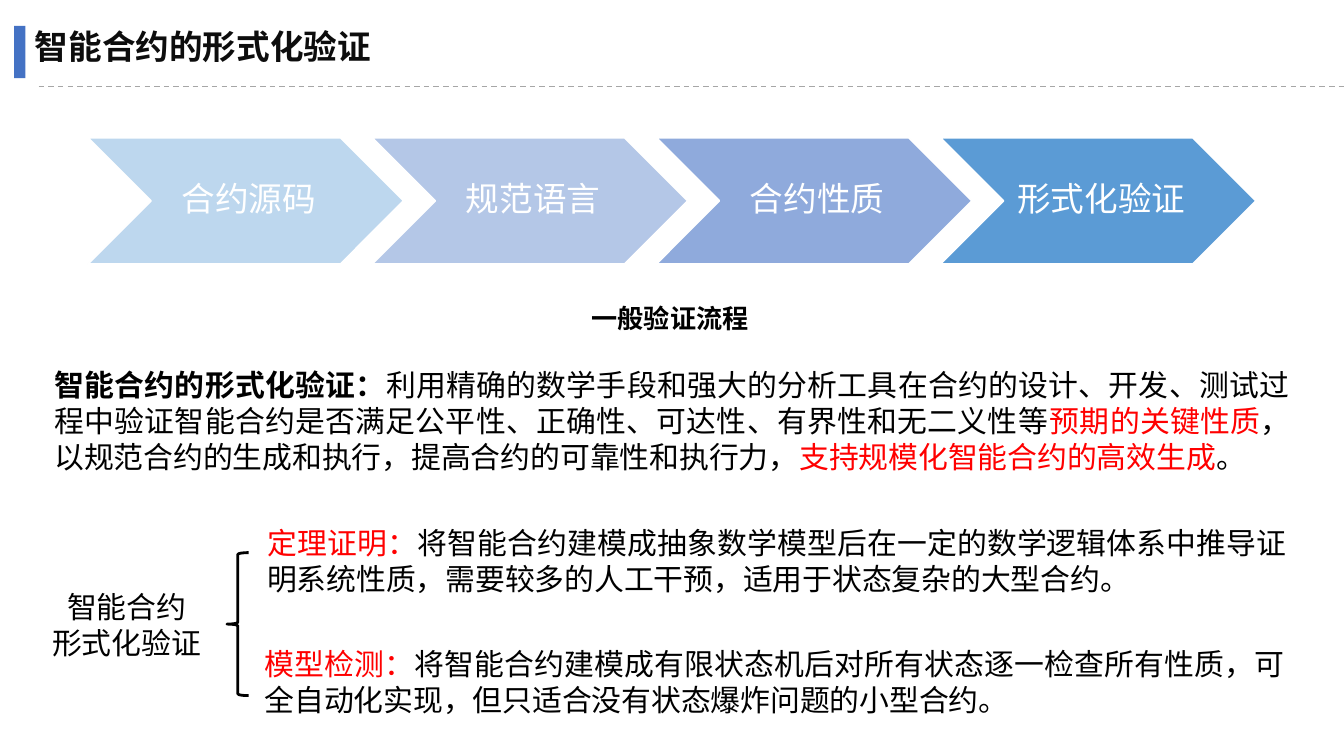
from pptx import Presentation
from pptx.dml.color import RGBColor
from pptx.enum.dml import MSO_LINE
from pptx.enum.lang import MSO_LANGUAGE_ID
from pptx.enum.shapes import MSO_CONNECTOR, MSO_SHAPE
from pptx.enum.text import MSO_ANCHOR, PP_ALIGN
from pptx.oxml.ns import qn
from pptx.util import Cm, Pt
from lxml import etree

LEFT, CENTER, JUST = PP_ALIGN.LEFT, PP_ALIGN.CENTER, PP_ALIGN.JUSTIFY
MIDDLE = MSO_ANCHOR.MIDDLE
CHEVRON, RECT, BRACE = MSO_SHAPE.CHEVRON, MSO_SHAPE.RECTANGLE, MSO_SHAPE.LEFT_BRACE
STRAIGHT, DASH = MSO_CONNECTOR.STRAIGHT, MSO_LINE.DASH
CHINESE = MSO_LANGUAGE_ID.SIMPLIFIED_CHINESE

SANS, SERIF = "Noto Sans CJK JP", "Times New Roman"
BLACK = RGBColor(0, 0, 0)
WHITE = RGBColor(255, 255, 255)
RED = RGBColor(255, 0, 0)
INK = RGBColor(0x0D, 0x0D, 0x0D)
GRAY = RGBColor(0xA6, 0xA6, 0xA6)
BLUE = RGBColor(0x44, 0x72, 0xC4)

STEPS = [
    ("合约源码", RGBColor(0xBD, 0xD7, 0xEE)),
    ("规范语言", RGBColor(0xB4, 0xC7, 0xE7)),
    ("合约性质", RGBColor(0x8F, 0xAA, 0xDC)),
    ("形式化验证", RGBColor(0x5B, 0x9B, 0xD5)),
]
ABOUT = [
    ("智能合约的形式化验证：", BLACK, True),
    ("利用精确的数学手段和强大的分析工具在合约的设计、开发、测试过程中验证智能合约是否满足"
     "公平性、正确性、可达性、有界性和无二义性等", BLACK, False),
    ("预期的关键性质", RED, False),
    ("，以规范合约的生成和执行，提高合约的可靠性和执行力，", BLACK, False),
    ("支持规模化智能合约的高效生成", RED, False),
    ("。", BLACK, False),
]
PROOF = [
    ("定理证明：", RED, False),
    ("将智能合约建模成抽象数学模型后在一定的数学逻辑体系中推导证明系统性质，"
     "需要较多的人工干预，适用于状态复杂的大型合约。", BLACK, False),
]
CHECK = [
    ("模型检测：", RED, False),
    ("将智能合约建模成有限状态机后对所有状态逐一检查所有性质，"
     "可全自动化实现，但只适合没有状态爆炸问题的小型合约。", BLACK, False),
]


def style(run, size, color, bold=False, face=SANS):
    font = run.font
    font.size, font.bold, font.name = Pt(size), bold, face
    font.color.rgb = color
    font.language_id = CHINESE
    # Chinese glyphs use the East Asian font slot
    latin = run._r.rPr.find(qn("a:latin"))
    east = etree.Element(qn("a:ea"), typeface=SANS)
    latin.addnext(east)


def add_text(slide, box, paras, size, align=LEFT, face=SANS):
    """Each paragraph is a list of (text, color, bold) parts."""
    frame = slide.shapes.add_textbox(*map(Cm, box)).text_frame
    frame.word_wrap = True
    for i, parts in enumerate(paras):
        para = frame.add_paragraph() if i else frame.paragraphs[0]
        para.alignment = align
        for text, color, bold in parts:
            run = para.add_run()
            run.text = text
            style(run, size, color, bold, face)
    return frame


def add_block(slide, kind, box, fill=None, line=None, width=1):
    shape = slide.shapes.add_shape(kind, *map(Cm, box))
    shape.shadow.inherit = False
    if fill is None:
        shape.fill.background()
    else:
        shape.fill.solid()
        shape.fill.fore_color.rgb = fill
    if line is None:
        shape.line.fill.background()
    else:
        shape.line.color.rgb = line
        shape.line.width = Pt(width)
    return shape


def add_rule(slide, left, right, top):
    rule = slide.shapes.add_connector(STRAIGHT, Cm(left), Cm(top), Cm(right), Cm(top))
    rule.line.color.rgb = GRAY
    rule.line.width = Pt(0.75)
    rule.line.dash_style = DASH
    etree.SubElement(rule._element.spPr, qn("a:effectLst"))


def add_step(slide, left, label, fill):
    frame = add_block(slide, CHEVRON, (left, 2.6, 5.97, 2.39), fill, WHITE).text_frame
    frame.text = label
    frame.vertical_anchor = MIDDLE
    frame.margin_left = Cm(0.2)
    frame.margin_right = frame.margin_top = frame.margin_bottom = Cm(0.08)
    para = frame.paragraphs[0]
    para.alignment = CENTER
    para.line_spacing = 0.9
    style(para.runs[0], 18, WHITE)


def main():
    deck = Presentation()
    deck.slide_width, deck.slide_height = Cm(25.4), Cm(14.28)
    slide = deck.slides.add_slide(deck.slide_layouts[6])

    # Heading
    add_text(slide, (0.41, 0.36, 24.18, 1.02),
             [[("智能合约的形式化验证", INK, True)]], 18, face=SERIF)
    add_rule(slide, 0.73, 25.4, 1.63)
    add_block(slide, RECT, (0.27, 0.49, 0.21, 0.99), BLUE)

    # Process chevrons and caption
    for i, (label, fill) in enumerate(STEPS):
        add_step(slide, 1.66 + 5.37 * i, label, fill)
    note = add_text(slide, (11.05, 5.64, 3.33, 0.74),
                    [[("一般验证流程", BLACK, True)]], 14)
    note.word_wrap = False
    note.margin_left = note.margin_right = Cm(0.13)
    note.margin_top = note.margin_bottom = Cm(0.08)

    # Definition
    add_text(slide, (0.78, 6.8, 23.86, 2.31), [ABOUT], 16, JUST)

    # Two methods joined by a brace
    brace = add_block(slide, BRACE, (4.29, 10.44, 0.41, 2.7), None, BLACK, 1.5)
    brace.adjustments[0] = 0.08
    add_text(slide, (0.3, 11, 4.19, 1.63),
             [[("智能合约", BLACK, False)], [("形式化验证", BLACK, False)]], 16, CENTER)
    add_text(slide, (4.8, 9.78, 19.79, 1.63), [PROOF], 16, JUST)
    add_text(slide, (4.75, 12.07, 19.79, 1.63), [CHECK], 16, JUST)

    deck.save("out.pptx")


if __name__ == "__main__":
    main()
